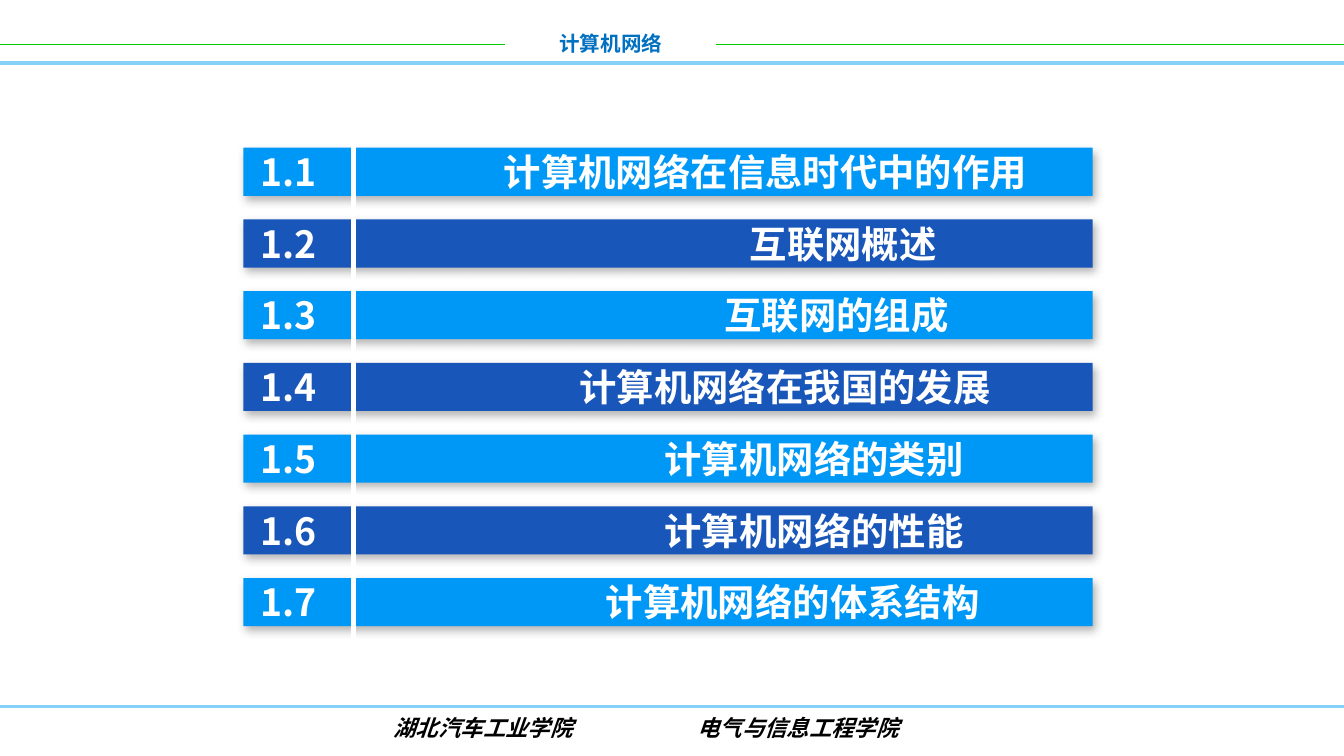
from dataclasses import dataclass

import pptx
import pptx.dml.color
import pptx.enum.shapes
import pptx.enum.text
import pptx.oxml
import pptx.oxml.ns
import pptx.util

Cm = pptx.util.Cm
Pt = pptx.util.Pt


@dataclass(frozen=True)
class Theme:
    face: str = "Noto Sans CJK SC"
    plain: str = "Arial"
    white: str = "FFFFFF"
    black: str = "000000"
    title: str = "0070C0"
    green: str = "00CC00"
    pale: str = "85D1F7"
    bars: tuple = ("0098F6", "1956B9")
    head_size: int = 11
    foot_size: int = 12
    row_size: int = 20


THEME = Theme()

# Number, topic and the tab stop (cm) at which the topic starts
TOPICS = [
    ("1.1", "计算机网络在信息时代中的作用", 4.6),
    ("1.2", "互联网概述", 9.25),
    ("1.3", "互联网的组成", 8.77),
    ("1.4", "计算机网络在我国的发展", 6.03),
    ("1.5", "计算机网络的类别", 7.64),
    ("1.6", "计算机网络的性能", 7.64),
    ("1.7", "计算机网络的体系结构", 6.53),
]
WIDTH = 25.4
TOP = 2.79
PITCH = 1.355


def color(code):
    return pptx.dml.color.RGBColor.from_string(code)


def add_xml(owner, body):
    """Append a drawing element, given without its namespace, to owner."""
    name, rest = body.split(" ", 1)
    space = pptx.oxml.ns.nsdecls("a")
    owner.append(pptx.oxml.parse_xml(f"<a:{name} {space} {rest}"))


def add_line(slide, start, end, code, weight):
    kind = pptx.enum.shapes.MSO_CONNECTOR.STRAIGHT
    line = slide.shapes.add_connector(kind, *map(Cm, start + end))
    line.line.color.rgb = color(code)
    line.line.width = Pt(weight)
    add_xml(line._element.spPr, "effectLst />")


def add_bar(slide, top, code):
    kind = pptx.enum.shapes.MSO_SHAPE.RECTANGLE
    bar = slide.shapes.add_shape(kind, Cm(4.6), Cm(top), Cm(16.05), Cm(0.91))
    bar.fill.solid()
    bar.fill.fore_color.rgb = color(code)
    bar.line.fill.background()
    bar.shadow.inherit = False
    shade = bar._element.spPr.find(pptx.oxml.ns.qn("a:effectLst"))
    add_xml(shade, f'outerShdw blurRad="{Pt(4.5)}" dist="{Pt(2.6)}" '
                   f'dir="{53 * 60000}" algn="tl" rotWithShape="0">'
                   f'<a:srgbClr val="{THEME.black}"><a:alpha val="30000"/>'
                   '</a:srgbClr></a:outerShdw>')


def add_text(slide, box, text, code, font, align="LEFT", stop=None, inset=0.25):
    """Add one line of text; stop is the place of its tab in cm."""
    frame = slide.shapes.add_textbox(*map(Cm, box)).text_frame
    form = {
        "word_wrap": True,
        "auto_size": pptx.enum.text.MSO_AUTO_SIZE.SHAPE_TO_FIT_TEXT,
        "margin_left": Cm(inset),
    }
    for key, value in form.items():
        setattr(frame, key, value)
    para = frame.paragraphs[0]
    para.alignment = getattr(pptx.enum.text.PP_ALIGN, align)
    if stop:
        add_xml(para._p.get_or_add_pPr(),
                f'tabLst ><a:tab pos="{Cm(stop)}" algn="l"/></a:tabLst>')
    run = para.add_run()
    run.text = text
    for key, value in font.items():
        setattr(run.font, key, value)
    run.font.color.rgb = color(code)
    add_xml(run._r.get_or_add_rPr(), f'ea typeface="{THEME.face}"/>')


def add_frame(slide):
    """Draw the rules, header and footer around the list."""
    for start, end, high, code, weight in [
        (0, 9.55, 0.84, THEME.green, 1),
        (13.54, WIDTH, 0.84, THEME.green, 1),
        (0, WIDTH, 13.34, THEME.pale, 1.5),
        (0, WIDTH, 1.19, THEME.pale, 2),
    ]:
        add_line(slide, (start, high), (end, high), code, weight)
    head = {"name": THEME.face, "size": Pt(THEME.head_size), "bold": True}
    add_text(slide, (9.55, 0.46, 3.99, 0.74), "计算机网络", THEME.title,
             head, align="CENTER")
    foot = {"name": THEME.plain, "size": Pt(THEME.foot_size),
            "bold": True, "italic": True}
    add_text(slide, (2.59, 13.36, 19.2, 0.76),
             "湖北汽车工业学院\t电气与信息工程学院", THEME.black, foot,
             stop=5.74, inset=4.85)


def add_list(slide):
    for row in range(len(TOPICS)):
        add_bar(slide, TOP + row * PITCH, THEME.bars[row % 2])
    add_line(slide, (6.68, 2.29), (6.68, 13.16), THEME.white, 2.25)
    font = {"name": THEME.face, "size": Pt(THEME.row_size), "bold": True}
    for row, (label, topic, stop) in enumerate(TOPICS):
        box = (4.67, TOP - 0.1 + row * PITCH, 16.05, 1.12)
        add_text(slide, box, f"{label}\t{topic}", THEME.white, font, stop=stop)


def main():
    deck = pptx.Presentation()
    deck.slide_width = Cm(WIDTH)
    deck.slide_height = Cm(14.28)
    slide = deck.slides.add_slide(deck.slide_layouts[6])
    add_frame(slide)
    add_list(slide)
    deck.save("out.pptx")


if __name__ == "__main__":
    main()
